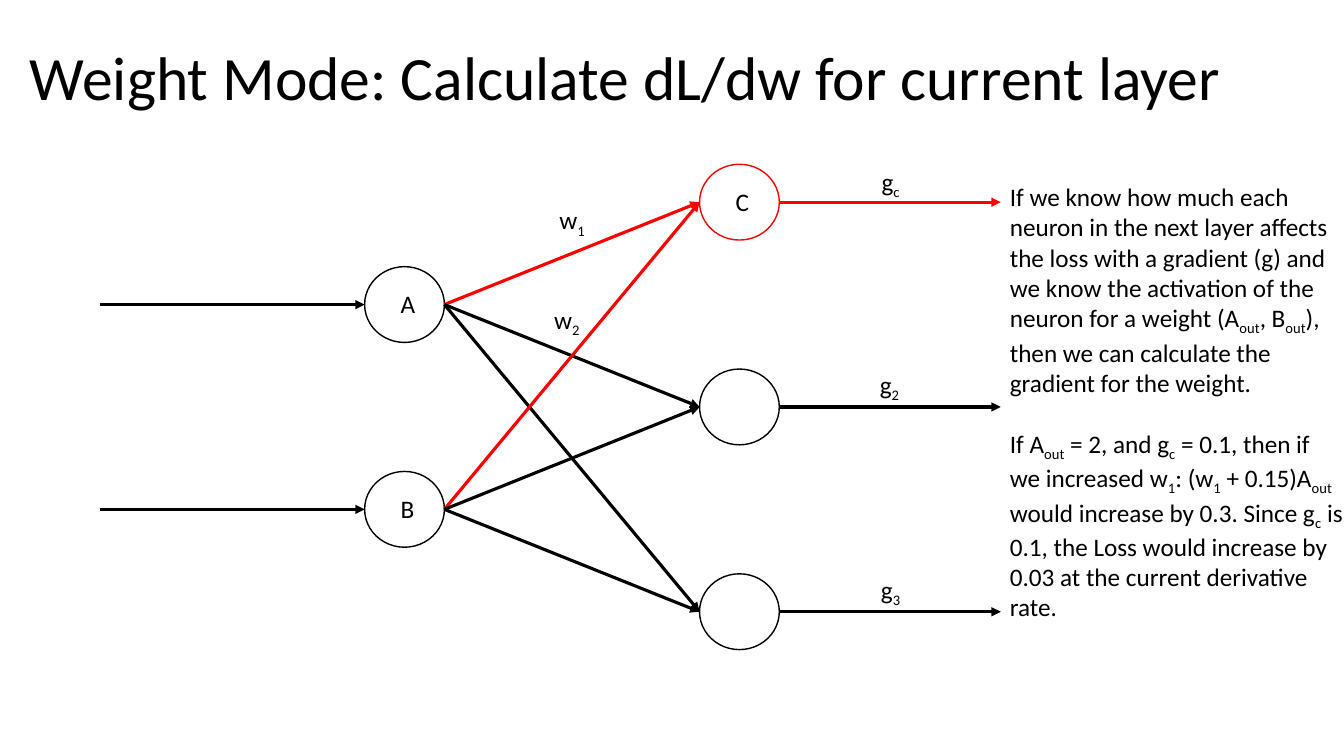
from dataclasses import dataclass

from lxml import etree
from pptx import Presentation
from pptx import util as u
from pptx.dml import color
from pptx.enum import shapes, text
from pptx.oxml import ns


@dataclass(frozen=True)
class Theme:
    font: str = "Calibri"
    ink: color.RGBColor = color.RGBColor(0, 0, 0)
    paper: color.RGBColor = color.RGBColor(255, 255, 255)
    highlight: color.RGBColor = color.RGBColor(255, 0, 0)
    title_size: u.Length = u.Pt(44)
    body_size: u.Length = u.Pt(18)
    outline: u.Length = u.Pt(1)
    arrow: u.Length = u.Pt(2.25)


THEME = Theme()
NODE_WIDTH, NODE_HEIGHT = 2.01, 1.91
FIRST_TOP, HALF_PITCH = 4.14, 2.58
INPUT_START, HIDDEN_LEFT, NEXT_LEFT, OUTPUT_END = 2.51, 9.19, 17.63, 25.22
LABEL_WIDTH, LABEL_HEIGHT = 1.45, 1.02
BODY = (
    "If we know how much each neuron in the next layer affects the loss with a "
    "gradient (g) and we know the activation of the neuron for a weight "
    "(A~out~, B~out~), then we can calculate the gradient for the weight.",
    "If A~out~ = 2, and g~c~ = 0.1, then if we increased w~1~: (w~1~ + 0.15)A~out~ "
    "would increase by 0.3. Since g~c~ is 0.1, the Loss would increase by 0.03 "
    "at the current derivative rate.",
)


def row_top(row):
    return FIRST_TOP + HALF_PITCH * row


def row_middle(row):
    return row_top(row) + NODE_HEIGHT / 2


def fill_paragraph(paragraph, marked, size):
    for index, part in enumerate(marked.split("~")):
        if not part:
            continue
        run = paragraph.add_run()
        run.text = part
        run.font.name = THEME.font
        run.font.size = size
        run.font.color.rgb = THEME.ink
        if index % 2:
            run.font._element.set("baseline", "-25000")


def add_words(slide, left, top, width, height, paragraphs, size=THEME.body_size, align=None):
    frame = slide.shapes.add_textbox(u.Cm(left), u.Cm(top), u.Cm(width), u.Cm(height)).text_frame
    frame.word_wrap = True
    for index, marked in enumerate(paragraphs):
        paragraph = frame.add_paragraph() if index else frame.paragraphs[0]
        paragraph.alignment = align
        if index:
            paragraph.space_before = u.Pt(22)
        fill_paragraph(paragraph, marked, size)
    return frame


def add_label(slide, left, top, marked, width=LABEL_WIDTH):
    add_words(slide, left, top, width, LABEL_HEIGHT, [marked], align=text.PP_ALIGN.CENTER)


def add_title(slide, words):
    frame = add_words(slide, 0.5, 0.2, 32.39, 3.68, [words], THEME.title_size)
    frame.vertical_anchor = text.MSO_ANCHOR.MIDDLE
    frame.paragraphs[0].line_spacing = 0.9


def add_neuron(slide, left, row, outline):
    neuron = slide.shapes.add_shape(
        shapes.MSO_SHAPE.OVAL, u.Cm(left), u.Cm(row_top(row)), u.Cm(NODE_WIDTH), u.Cm(NODE_HEIGHT)
    )
    neuron.shadow.inherit = False
    neuron.fill.solid()
    neuron.fill.fore_color.rgb = THEME.paper
    neuron.line.color.rgb = outline
    neuron.line.width = THEME.outline


def add_arrow(slide, start, start_row, end, end_row, ink):
    arrow = slide.shapes.add_connector(
        shapes.MSO_CONNECTOR.STRAIGHT,
        u.Cm(start), u.Cm(row_middle(start_row)), u.Cm(end), u.Cm(row_middle(end_row)),
    )
    arrow.line.color.rgb = ink
    arrow.line.width = THEME.arrow
    head = etree.SubElement(arrow.line._get_or_add_ln(), ns.qn("a:tailEnd"))
    head.set("type", "triangle")
    etree.SubElement(arrow._element.spPr, ns.qn("a:effectLst"))


def main():
    deck = Presentation()
    deck.slide_width, deck.slide_height = u.Cm(33.87), u.Cm(19.05)
    slide = deck.slides.add_slide(deck.slide_layouts[6])
    add_title(slide, "Weight Mode: Calculate dL/dw for current layer")

    hidden = {1: "A", 3: "B"}
    next_layer = {0: THEME.highlight, 2: THEME.ink, 4: THEME.ink}
    for row in hidden:
        add_neuron(slide, HIDDEN_LEFT, row, THEME.ink)
    for row, ink in next_layer.items():
        add_neuron(slide, NEXT_LEFT, row, ink)

    for row in hidden:
        add_arrow(slide, INPUT_START, row, HIDDEN_LEFT, row, THEME.ink)
        for next_row, ink in next_layer.items():
            add_arrow(slide, HIDDEN_LEFT + NODE_WIDTH, row, NEXT_LEFT, next_row, ink)
    for row, ink in next_layer.items():
        add_arrow(slide, NEXT_LEFT + NODE_WIDTH, row, OUTPUT_END, row, ink)

    neuron_names = [(HIDDEN_LEFT, row, name) for row, name in hidden.items()]
    for left, row, name in neuron_names + [(NEXT_LEFT, 0, "C")]:
        add_label(slide, left + 0.66, row_top(row) + 0.43, name, width=0.71)
    for left, top, marked in (
        (13.69, 5.03, "w~1~"),
        (13.56, 7.54, "w~2~"),
        (21.72, 4.06, "g~c~"),
        (21.69, 9.17, "g~2~"),
        (21.72, 14.35, "g~3~"),
    ):
        add_label(slide, left, top, marked)
    add_words(slide, 25.2, 4.45, 8.92, 11.02, BODY)
    deck.save("out.pptx")


if __name__ == "__main__":
    main()
